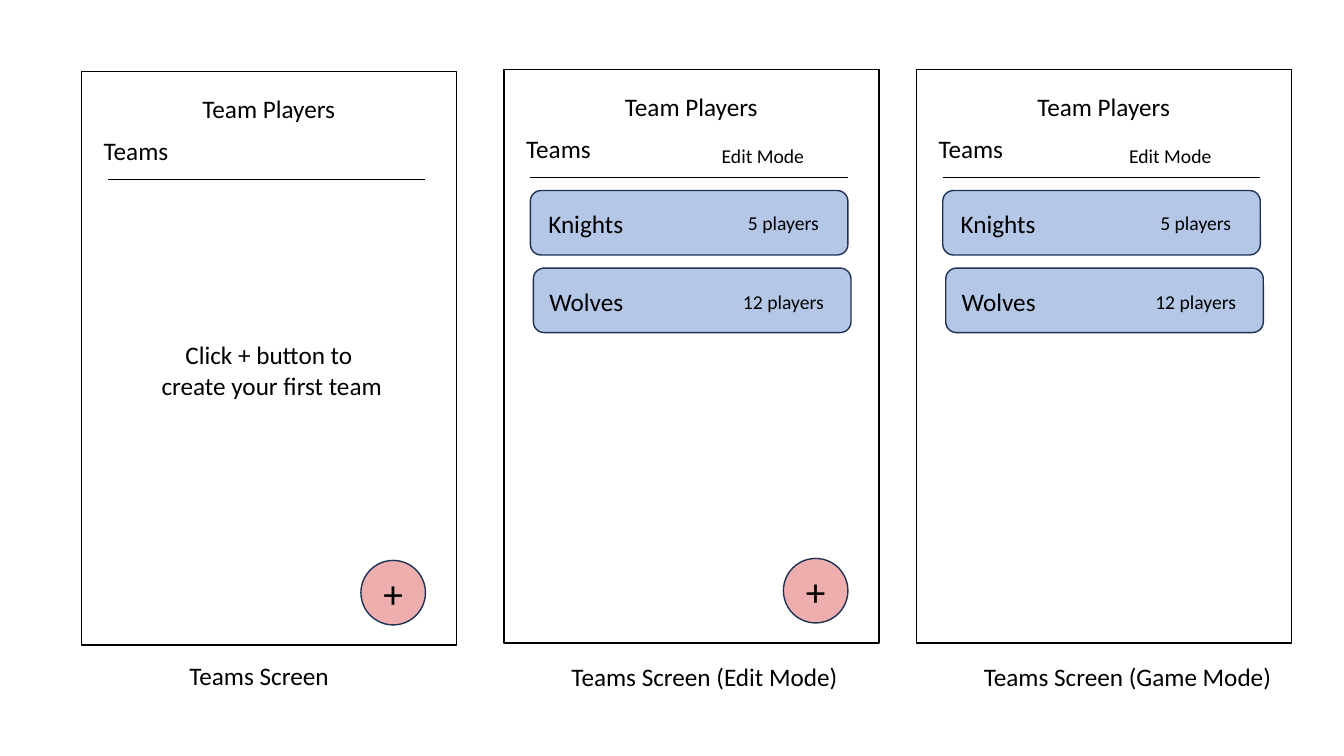
from lxml import etree
from pptx import Presentation
from pptx.dml.color import RGBColor
from pptx.enum.shapes import MSO_CONNECTOR, MSO_SHAPE
from pptx.enum.text import MSO_ANCHOR, MSO_AUTO_SIZE, PP_ALIGN
from pptx.oxml.ns import qn
from pptx.util import Inches, Pt

RECTANGLE = MSO_SHAPE.RECTANGLE
ROUNDED = MSO_SHAPE.ROUNDED_RECTANGLE
OVAL = MSO_SHAPE.OVAL
STRAIGHT = MSO_CONNECTOR.STRAIGHT
MIDDLE = MSO_ANCHOR.MIDDLE
FIT_SHAPE = MSO_AUTO_SIZE.SHAPE_TO_FIT_TEXT
LEFT, CENTER = PP_ALIGN.LEFT, PP_ALIGN.CENTER

FONT = "Calibri"
COLORS = {"ink": "000000", "paper": "FFFFFF", "card": "B4C7E7",
          "button": "EEAEAE", "outline": "1E3256"}

TEAMS = [
    {"name": "Knights", "name_at": (0.34, 1.33, 0.95),
     "count": "5 players", "count_at": (2.32, 1.35, 0.91), "card_at": (0.26, 1.2)},
    {"name": "Wolves", "name_at": (0.35, 2.1, 0.94),
     "count": "12 players", "count_at": (2.27, 2.14, 1.01), "card_at": (0.29, 1.97)},
]
SCREENS = [
    {"at": (0.81, 0.71), "caption": "Teams Screen", "caption_at": (0.97, 5.79, 1.6),
     "teams": [], "mode_left": None, "add_button": True,
     "hint": ["Click + button to ", "create your first team"]},
    {"at": (5, 0.69), "caption": "Teams Screen (Edit Mode)", "caption_at": (0.57, 5.82, 2.87),
     "teams": TEAMS, "mode_left": 2.06, "add_button": True, "hint": []},
    {"at": (9.09, 0.69), "caption": "Teams Screen (Game Mode)", "caption_at": (0.57, 5.82, 3.09),
     "teams": TEAMS, "mode_left": 2.01, "add_button": False, "hint": []},
]
SCREEN_SIZE = (3.72, 5.69)
CARD_SIZE = (3.15, 0.64)
BUTTON_SIZE = (0.64, 0.64)
RULE_LEFT, RULE_TOP = 0.26, 1.07


def write(frame, lines, size, align):
    for index, line in enumerate(lines):
        para = frame.paragraphs[0] if index == 0 else frame.add_paragraph()
        para.text = line
        para.alignment = align
        for span in para.runs:
            span.font.name = FONT
            span.font.size = Pt(size)
            span.font.color.rgb = RGBColor.from_string(COLORS["ink"])


def add_label(page, left, top, width, lines, size=18, align=LEFT):
    height = 0.1 + len(lines) * size / 60
    box = page.shapes.add_textbox(Inches(left), Inches(top), Inches(width), Inches(height))
    box.text_frame.word_wrap = False
    box.text_frame.auto_size = FIT_SHAPE
    write(box.text_frame, lines, size, align)


def add_panel(page, kind, left, top, size, fill, line):
    panel = page.shapes.add_shape(kind, Inches(left), Inches(top), *map(Inches, size))
    panel.shadow.inherit = False
    panel.fill.solid()
    panel.fill.fore_color.rgb = RGBColor.from_string(COLORS[fill])
    panel.line.color.rgb = RGBColor.from_string(COLORS[line])
    panel.line.width = Pt(1)
    return panel


def add_rule(page, left, top, width):
    rule = page.shapes.add_connector(
        STRAIGHT, Inches(left), Inches(top), Inches(left + width), Inches(top))
    rule.line.color.rgb = RGBColor.from_string(COLORS["ink"])
    rule.line.width = Pt(0.5)
    etree.SubElement(rule._element.spPr, qn("a:effectLst"))


def add_screen(page, screen):
    x, y = screen["at"]

    def label(place, text, size=18):
        left, top, width = place
        add_label(page, x + left, y + top, width, [text], size)

    add_panel(page, RECTANGLE, x, y, SCREEN_SIZE, "paper", "ink")
    label((1.1, 0.17, 1.53), "Team Players")
    label((0.12, 0.58, 0.85), "Teams")
    add_rule(page, x + RULE_LEFT, y + RULE_TOP, CARD_SIZE[0])
    for team in screen["teams"]:
        left, top = team["card_at"]
        add_panel(page, ROUNDED, x + left, y + top, CARD_SIZE, "card", "outline")
        label(team["name_at"], team["name"])
        label(team["count_at"], team["count"], 14)
    if screen["mode_left"]:
        label((screen["mode_left"], 0.69, 1.03), "Edit Mode", 14)
    if screen["hint"]:
        add_label(page, x + 0.68, y + 2.61, 2.41, screen["hint"], align=CENTER)
    if screen["add_button"]:
        button = add_panel(page, OVAL, x + 2.77, y + 4.85, BUTTON_SIZE, "button", "outline")
        button.text_frame.vertical_anchor = MIDDLE
        write(button.text_frame, ["+"], 28, CENTER)
    label(screen["caption_at"], screen["caption"])


def main():
    """Build the slide with the three team screen mock-ups."""
    deck = Presentation()
    deck.slide_width, deck.slide_height = Inches(13.33), Inches(7.5)
    page = deck.slides.add_slide(deck.slide_layouts[6])
    for screen in SCREENS:
        add_screen(page, screen)
    deck.save("out.pptx")


if __name__ == "__main__":
    main()
